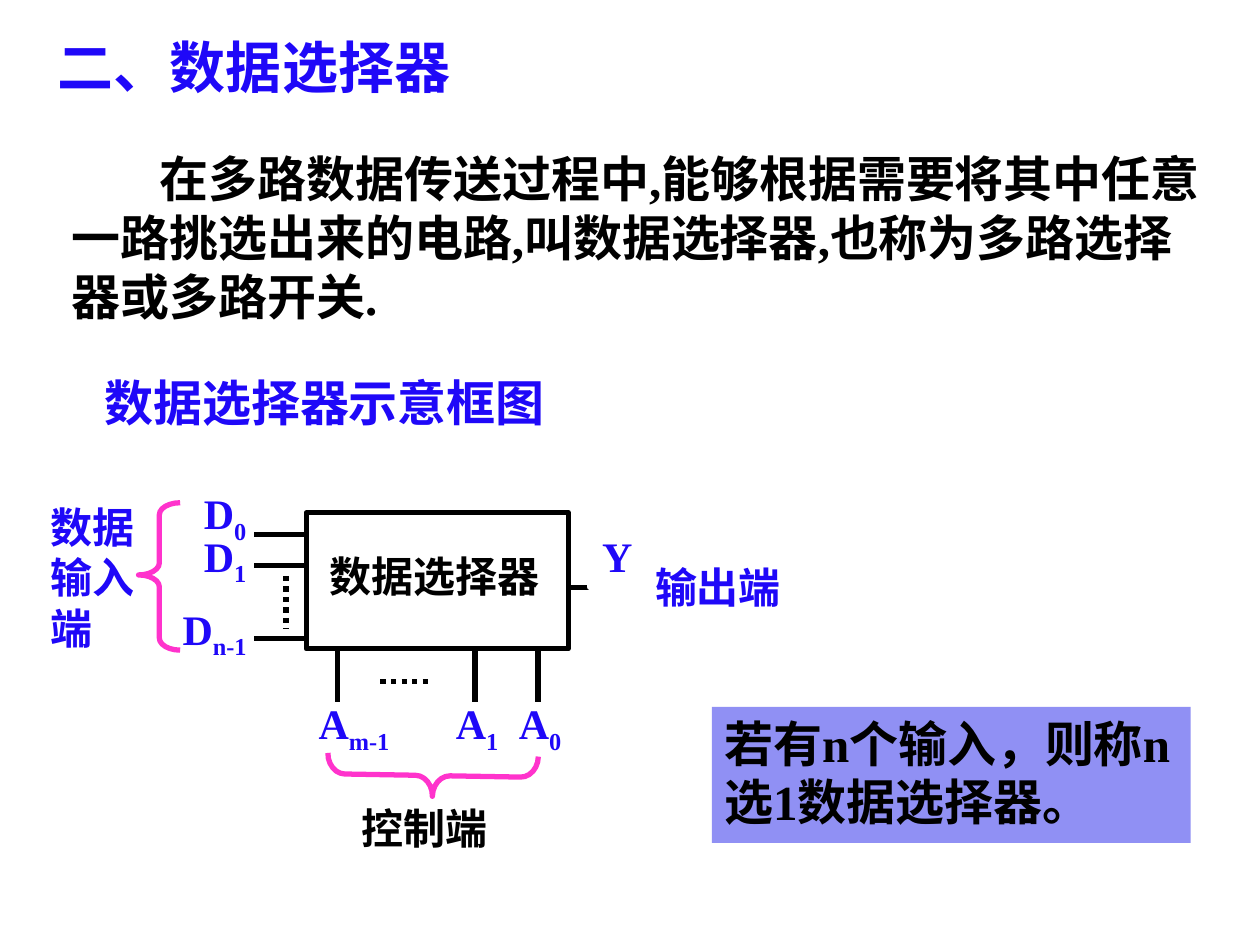
from dataclasses import dataclass

from lxml import etree
from pptx import Presentation
from pptx.dml.color import RGBColor
from pptx.enum.dml import MSO_LINE
from pptx.enum.shapes import MSO_CONNECTOR, MSO_SHAPE
from pptx.enum.text import MSO_ANCHOR, PP_ALIGN
from pptx.oxml.ns import qn
from pptx.util import Inches, Pt

BLUE = RGBColor(0x1F, 0x08, 0xF8)
BLACK = RGBColor(0, 0, 0)
WHITE = RGBColor(0xFF, 0xFF, 0xFF)
PINK = RGBColor(0xFF, 0x33, 0xCC)
LILAC = RGBColor(0x90, 0x90, 0xF4)
RECTANGLE = MSO_SHAPE.RECTANGLE
LEFT_BRACE = MSO_SHAPE.LEFT_BRACE
STRAIGHT = MSO_CONNECTOR.STRAIGHT
DOTTED = MSO_LINE.ROUND_DOT
LEFT = PP_ALIGN.LEFT
TOP = MSO_ANCHOR.TOP
MIDDLE = MSO_ANCHOR.MIDDLE
FONT = "Times New Roman"
LINE_WIDTH = Pt(3)
TITLE_ONLY = 5


@dataclass
class Area:
    left: float
    top: float
    width: float
    height: float

    def lengths(self):
        return [Inches(n) for n in (self.left, self.top, self.width, self.height)]


@dataclass
class Label:
    area: Area
    text: str
    subscript: str = ""
    color: RGBColor = BLUE
    size: int = 24
    wrap: bool = True


@dataclass
class Wire:
    x1: float
    y1: float
    x2: float
    y2: float
    dotted: bool = False


@dataclass
class Brace:
    area: Area
    curve: float
    point: float
    rotation: int = 0


def write_text(box, label: Label, anchor=TOP) -> None:
    frame = box.text_frame
    frame.word_wrap = label.wrap
    frame.vertical_anchor = anchor
    para = frame.paragraphs[0]
    para.text = label.text
    para.alignment = LEFT
    if label.subscript:
        span = para.add_run()
        span.text = label.subscript
        span.font._element.set("baseline", "-25000")
    for span in para.runs:
        span.font.name = FONT
        span.font.size = Pt(label.size)
        span.font.bold = True
        span.font.color.rgb = label.color


def add_label(page, label: Label):
    box = page.shapes.add_textbox(*label.area.lengths())
    write_text(box, label)
    return box


def add_outline(page, kind, area: Area, color: RGBColor):
    shape = page.shapes.add_shape(kind, *area.lengths())
    shape.shadow.inherit = False
    shape.fill.background()
    shape.line.color.rgb = color
    shape.line.width = LINE_WIDTH
    return shape


def add_wire(page, wire: Wire) -> None:
    ends = [Inches(n) for n in (wire.x1, wire.y1, wire.x2, wire.y2)]
    line = page.shapes.add_connector(STRAIGHT, *ends)
    line.line.color.rgb = BLACK
    line.line.width = LINE_WIDTH
    if wire.dotted:
        line.line.dash_style = DOTTED
    etree.SubElement(line._element.spPr, qn("a:effectLst"))


def add_brace(page, brace: Brace) -> None:
    shape = add_outline(page, LEFT_BRACE, brace.area, PINK)
    shape.adjustments[0] = brace.curve
    shape.adjustments[1] = brace.point
    shape.rotation = brace.rotation


TITLE = Label(Area(0.36, 0.26, 4.34, 0.53), "二、数据选择器", size=32)
DEFINITION = Label(
    Area(0.47, 1.13, 9.25, 1.5),
    "在多路数据传送过程中,能够根据需要将其中任意一路挑选出来的电路,"
    "叫数据选择器,也称为多路选择器或多路开关.",
    color=BLACK, size=28)
NOTE = Label(Area(5.65, 5.61, 3.8, 1.08), "若有n个输入，则称n选1数据选择器。",
             color=BLACK, size=28)
SELECTOR = Area(2.43, 4.07, 2.08, 1.08)
WIRES = [
    *[Wire(2.02, y, 2.43, y) for y in (4.24, 4.49, 5.07)],
    *[Wire(x, 5.16, x, 5.57) for x in (2.68, 3.77, 4.27)],
    Wire(4.52, 4.66, 5.02, 4.66),
    Wire(2.27, 4.57, 2.27, 4.99, dotted=True),
    Wire(3.02, 5.41, 3.43, 5.41, dotted=True),
]
FRAMED_LABELS = [
    Label(Area(4.68, 4.16, 0.44, 0.5), "Y", wrap=False),
    Label(Area(2.52, 4.32, 1.89, 0.51), "数据选择器", color=BLACK, wrap=False),
]
LABELS = [
    Label(Area(1.52, 3.82, 0.58, 0.5), "D", "0"),
    Label(Area(1.52, 4.16, 0.55, 0.5), "D", "1"),
    Label(Area(1.35, 4.74, 0.75, 0.5), "D", "n-1"),
    Label(Area(4.02, 5.49, 0.55, 0.5), "A", "0", wrap=False),
    Label(Area(3.52, 5.49, 0.55, 0.5), "A", "1"),
    Label(Area(2.43, 5.49, 0.81, 0.5), "A", "m-1", wrap=False),
    Label(Area(0.3, 3.93, 1.14, 1.31), "数据输入端"),
    Label(Area(5.1, 4.41, 1.25, 0.5), "输出端"),
    Label(Area(2.77, 6.32, 1.21, 0.5), "控制端", color=BLACK, wrap=False),
    Label(Area(0.73, 2.91, 3.73, 0.57), "数据选择器示意框图", size=28, wrap=False),
]
BRACES = [
    Brace(Area(1.1, 3.99, 0.33, 1.17), 0.29, 0.49),
    Brace(Area(3.27, 5.32, 0.33, 1.67), 0.42, 0.5, rotation=271),
]


def main() -> None:
    deck = Presentation()
    deck.slide_width, deck.slide_height = Inches(10), Inches(7.5)
    page = deck.slides.add_slide(deck.slide_layouts[TITLE_ONLY])

    title = page.shapes.title
    title.left, title.top, title.width, title.height = TITLE.area.lengths()
    write_text(title, TITLE, MIDDLE)

    definition = add_label(page, DEFINITION)
    properties = definition.text_frame.paragraphs[0]._p.get_or_add_pPr()
    properties.set("indent", str(Inches(0.7)))

    add_outline(page, RECTANGLE, SELECTOR, BLACK)
    for wire in WIRES:
        add_wire(page, wire)
    for label in FRAMED_LABELS:
        write_text(add_outline(page, RECTANGLE, label.area, WHITE), label)
    for label in LABELS:
        add_label(page, label)
    for brace in BRACES:
        add_brace(page, brace)

    note = add_outline(page, RECTANGLE, NOTE.area, LILAC)
    note.fill.solid()
    note.fill.fore_color.rgb = LILAC
    note.line.fill.background()
    write_text(note, NOTE)

    deck.save("out.pptx")


if __name__ == "__main__":
    main()
